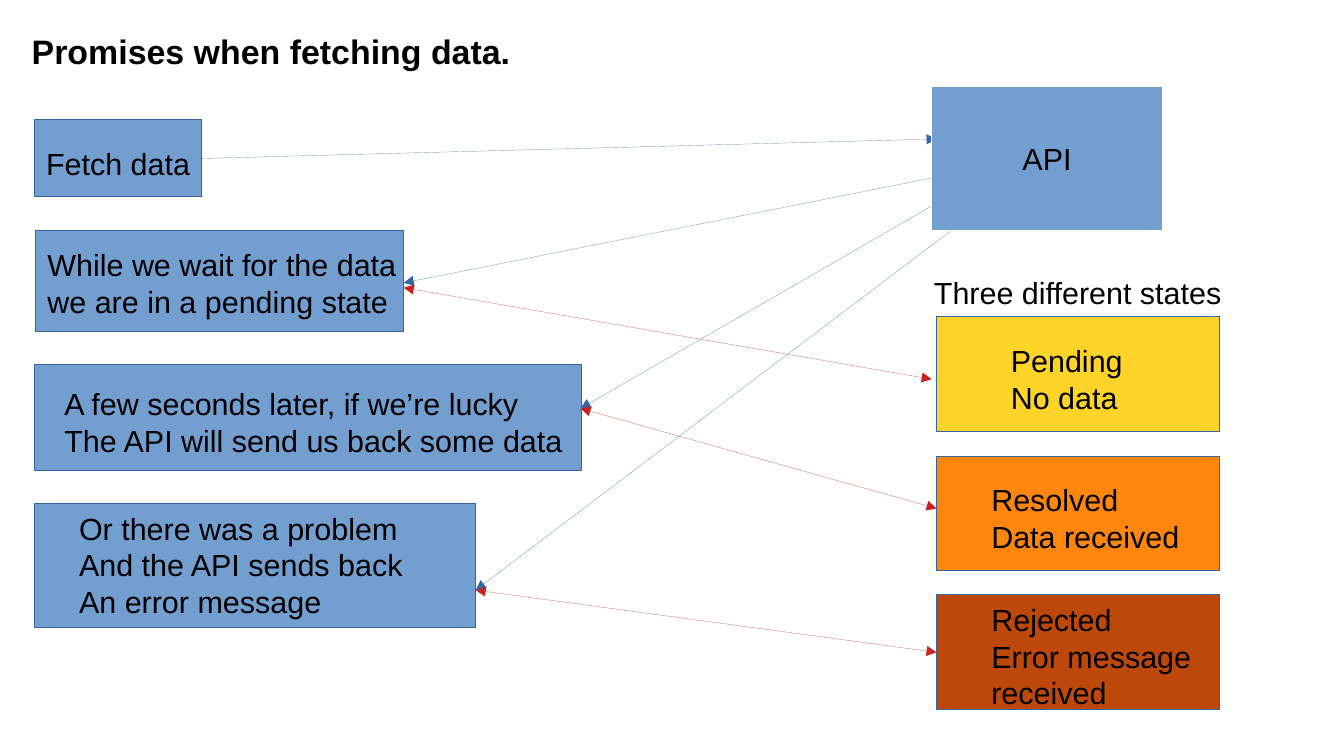
from lxml.etree import SubElement
from pptx import Presentation
from pptx.dml.color import RGBColor
from pptx.enum.shapes import MSO_CONNECTOR, MSO_SHAPE
from pptx.enum.text import MSO_ANCHOR, MSO_AUTO_SIZE, PP_ALIGN
from pptx.oxml.ns import qn
from pptx.util import Inches, Pt

# Content: lengths are inches, boxes are (left, top, width, height)
TITLE = ("Promises when fetching data.", (0.16, 0.2, 4.13, 0.41))
API = ("API", (7.64, 0.71, 1.89, 1.18))

# Each step: box, label position and size, label lines
STEPS = [
    ((0.28, 0.98, 1.37, 0.63), (0.28, 1.14, 1.45, 0.38), ["Fetch data"]),
    ((0.29, 1.89, 3.02, 0.83), (0.29, 1.97, 3.1, 0.66),
     ["While we wait for the data", "we are in a pending state"]),
    ((0.28, 2.99, 4.49, 0.87), (0.43, 3.11, 4.34, 0.66),
     ["A few seconds later, if we’re lucky", "The API will send us back some data"]),
    ((0.28, 4.13, 3.62, 1.02), (0.55, 4.13, 2.96, 0.94),
     ["Or there was a problem", "And the API sends back", "An error message"]),
]

STATES_HEADING = ("Three different states", (7.56, 2.2, 2.6, 0.38))
STATES_LEFT, STATES_TOP, STATES_PITCH = 7.68, 2.6, 1.14
STATE_SIZE = (2.32, 0.94)
# Each state: fill, label position and size, label lines
STATES = [
    ("pending", (8.19, 2.76, 1.17, 0.66), ["Pending", "No data"]),
    ("resolved", (8.03, 3.9, 1.8, 0.66), ["Resolved", "Data received"]),
    ("rejected", (8.03, 4.88, 1.95, 0.94), ["Rejected", "Error message", "received"]),
]

# Arrows: start, end, ends that carry a head
API_ARROWS = [
    ((1.64, 1.3), (7.68, 1.14), ["tailEnd"]),
    ((3.31, 2.32), (7.64, 1.46), ["headEnd"]),
    ((4.76, 3.35), (7.64, 1.69), ["headEnd"]),
    ((3.9, 4.84), (7.8, 1.89), ["headEnd"]),
]
STATE_ARROWS = [
    ((3.31, 2.36), (7.64, 3.11), ["headEnd", "tailEnd"]),
    ((4.76, 3.35), (7.68, 4.17), ["headEnd", "tailEnd"]),
    ((3.9, 4.84), (7.68, 5.35), ["headEnd", "tailEnd"]),
]

# A width of exactly zero is not stored, so the hairline is just above it
THEME = {
    "font": "Arial", "title_size": 20, "body_size": 18, "hairline": 0.01,
    "text": "000000", "step": "729FCF", "outline": "3465A4", "api_outline": "FFFFFF",
    "pending": "FFD428", "resolved": "FF860D", "rejected": "BE480A",
    "state_arrow": "C9211E",
}


def color(name):
    return RGBColor.from_string(THEME[name])


def inches(values):
    return [Inches(value) for value in values]


def write(text_frame, lines, size="body_size", bold=False,
          align=PP_ALIGN.LEFT, anchor=MSO_ANCHOR.TOP, auto_size=MSO_AUTO_SIZE.SHAPE_TO_FIT_TEXT):
    frame_format = {
        "text": "\n".join(lines), "word_wrap": False, "auto_size": auto_size,
        "vertical_anchor": anchor,
        "margin_left": Inches(0.1), "margin_right": Inches(0.1),
        "margin_top": Inches(0.05), "margin_bottom": Inches(0.05),
    }
    for name, value in frame_format.items():
        setattr(text_frame, name, value)
    font_format = {"name": THEME["font"], "size": Pt(THEME[size]), "bold": bold}
    for paragraph in text_frame.paragraphs:
        paragraph.alignment = align
        for run in paragraph.runs:
            for name, value in font_format.items():
                setattr(run.font, name, value)
            run.font.color.rgb = color("text")


def draw_line(line, line_color):
    line.color.rgb = color(line_color)
    line.width = Pt(THEME["hairline"])


def add_label(slide, box, lines):
    write(slide.shapes.add_textbox(*inches(box)).text_frame, lines)


def add_box(slide, box, fill, outline="outline"):
    shape = slide.shapes.add_shape(MSO_SHAPE.RECTANGLE, *inches(box))
    shape.shadow.inherit = False
    shape.fill.solid()
    shape.fill.fore_color.rgb = color(fill)
    draw_line(shape.line, outline)
    return shape


def add_arrow(slide, start, end, heads, line_color):
    arrow = slide.shapes.add_connector(MSO_CONNECTOR.STRAIGHT, *inches(start + end))
    draw_line(arrow.line, line_color)
    properties = arrow.line._get_or_add_ln()
    for head in heads:
        SubElement(properties, qn(f"a:{head}"), type="triangle")
    SubElement(arrow._element.spPr, qn("a:effectLst"))


def main():
    presentation = Presentation()
    presentation.slide_width, presentation.slide_height = inches((11.02, 6.2))
    slide = presentation.slides.add_slide(presentation.slide_layouts[5])

    # Title
    text, box = TITLE
    title = slide.shapes.title
    title.left, title.top, title.width, title.height = inches(box)
    write(title.text_frame, [text], size="title_size", bold=True)

    # Arrows to and from the API, behind the boxes
    for start, end, heads in API_ARROWS:
        add_arrow(slide, start, end, heads, "outline")

    # API
    text, box = API
    api = add_box(slide, box, "step", "api_outline")
    write(api.text_frame, [text], align=PP_ALIGN.CENTER,
          anchor=MSO_ANCHOR.MIDDLE, auto_size=MSO_AUTO_SIZE.NONE)

    # Steps
    for box, label_box, lines in STEPS:
        add_box(slide, box, "step")
        add_label(slide, label_box, lines)

    # States
    text, box = STATES_HEADING
    add_label(slide, box, [text])
    for index, (fill, label_box, lines) in enumerate(STATES):
        add_box(slide, (STATES_LEFT, STATES_TOP + index * STATES_PITCH, *STATE_SIZE), fill)
        add_label(slide, label_box, lines)

    # Arrows between steps and states
    for start, end, heads in STATE_ARROWS:
        add_arrow(slide, start, end, heads, "state_arrow")

    presentation.save("out.pptx")


if __name__ == "__main__":
    main()
